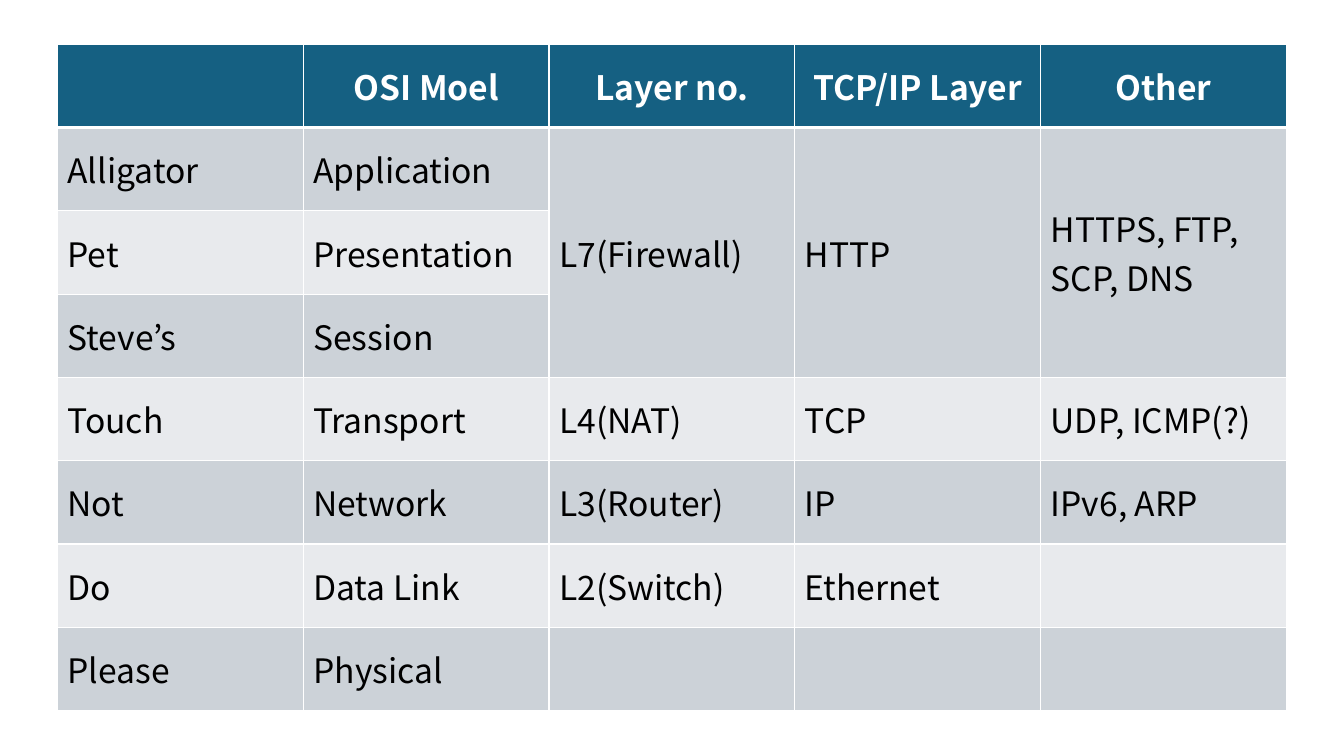
from lxml.etree import SubElement
from pptx import Presentation
from pptx.dml.color import RGBColor
from pptx.enum.text import MSO_ANCHOR, PP_ALIGN
from pptx.oxml.ns import qn
from pptx.util import Inches, Pt

SLIDE_WIDTH, SLIDE_HEIGHT = Inches(13.33), Inches(7.5)
TABLE_LEFT, TABLE_TOP = Inches(0.57), Inches(0.44)
TABLE_WIDTH, TABLE_HEIGHT = Inches(12.19), Inches(6.61)
WHITE = "FFFFFF"
BAND_FILLS = ("CCD2D8", "E8EAED")

HEADER_FORMAT = {"size": Pt(24), "name": "Noto Sans CJK KR", "bold": True}
BODY_FORMAT = {**HEADER_FORMAT, "bold": False}

LAYERS = [
    ["", "OSI Moel", "Layer no.", "TCP/IP Layer", "Other"],
    ["Alligator", "Application", "L7(Firewall)", "HTTP", "HTTPS, FTP, SCP, DNS"],
    ["Pet", "Presentation", "", "", ""],
    ["Steve’s", "Session", "", "", ""],
    ["Touch", "Transport", "L4(NAT)", "TCP", "UDP, ICMP(?)"],
    ["Not", "Network", "L3(Router)", "IP", "IPv6, ARP"],
    ["Do", "Data Link", "L2(Switch)", "Ethernet", ""],
    ["Please", "Physical", "", "", ""],
]
MERGED_COLUMNS = (2, 3, 4)
MERGED_ROWS = (1, 3)


def color(hex_value):
    return RGBColor.from_string(hex_value)


def set_borders(cell, widths):
    """Draw white cell borders; widths maps a side to points."""
    properties = cell._tc.get_or_add_tcPr()
    for side, width in widths.items():
        line = SubElement(properties, qn(f"a:ln{side}"), w=str(Pt(width)))
        fill = SubElement(line, qn("a:solidFill"))
        SubElement(fill, qn("a:srgbClr"), val=WHITE)


def write_cell(cell, text, font_format, text_color, alignment):
    cell.vertical_anchor = MSO_ANCHOR.MIDDLE
    paragraph = cell.text_frame.paragraphs[0]
    paragraph.alignment = alignment
    # An empty cell keeps its format on the paragraph
    font = paragraph.font
    if text:
        run = paragraph.add_run()
        run.text = text
        font = run.font
    for attribute, value in font_format.items():
        setattr(font, attribute, value)
    font.color.rgb = color(text_color)


def style_cell(cell, row):
    # The rule between header and body is thicker
    set_borders(cell, {"L": 1, "R": 1,
                       "T": 3 if row == 1 else 1,
                       "B": 3 if row == 0 else 1})
    cell.fill.solid()
    cell.fill.fore_color.rgb = color("156082" if row == 0 else BAND_FILLS[(row - 1) % 2])


def add_layer_table(slide):
    table = slide.shapes.add_table(len(LAYERS), len(LAYERS[0]), TABLE_LEFT, TABLE_TOP,
                                   TABLE_WIDTH, TABLE_HEIGHT).table
    for row, texts in enumerate(LAYERS):
        for column, text in enumerate(texts):
            cell = table.cell(row, column)
            style_cell(cell, row)
            if row == 0:
                write_cell(cell, text, HEADER_FORMAT, WHITE, PP_ALIGN.CENTER)
            else:
                write_cell(cell, text, BODY_FORMAT, "000000", PP_ALIGN.LEFT)

    # The three upper layers share one cell per column
    first, last = MERGED_ROWS
    for column in MERGED_COLUMNS:
        table.cell(first, column).merge(table.cell(last, column))


def main():
    presentation = Presentation()
    presentation.slide_width, presentation.slide_height = SLIDE_WIDTH, SLIDE_HEIGHT
    slide = presentation.slides.add_slide(presentation.slide_layouts[6])
    add_layer_table(slide)
    presentation.save("out.pptx")


main()
